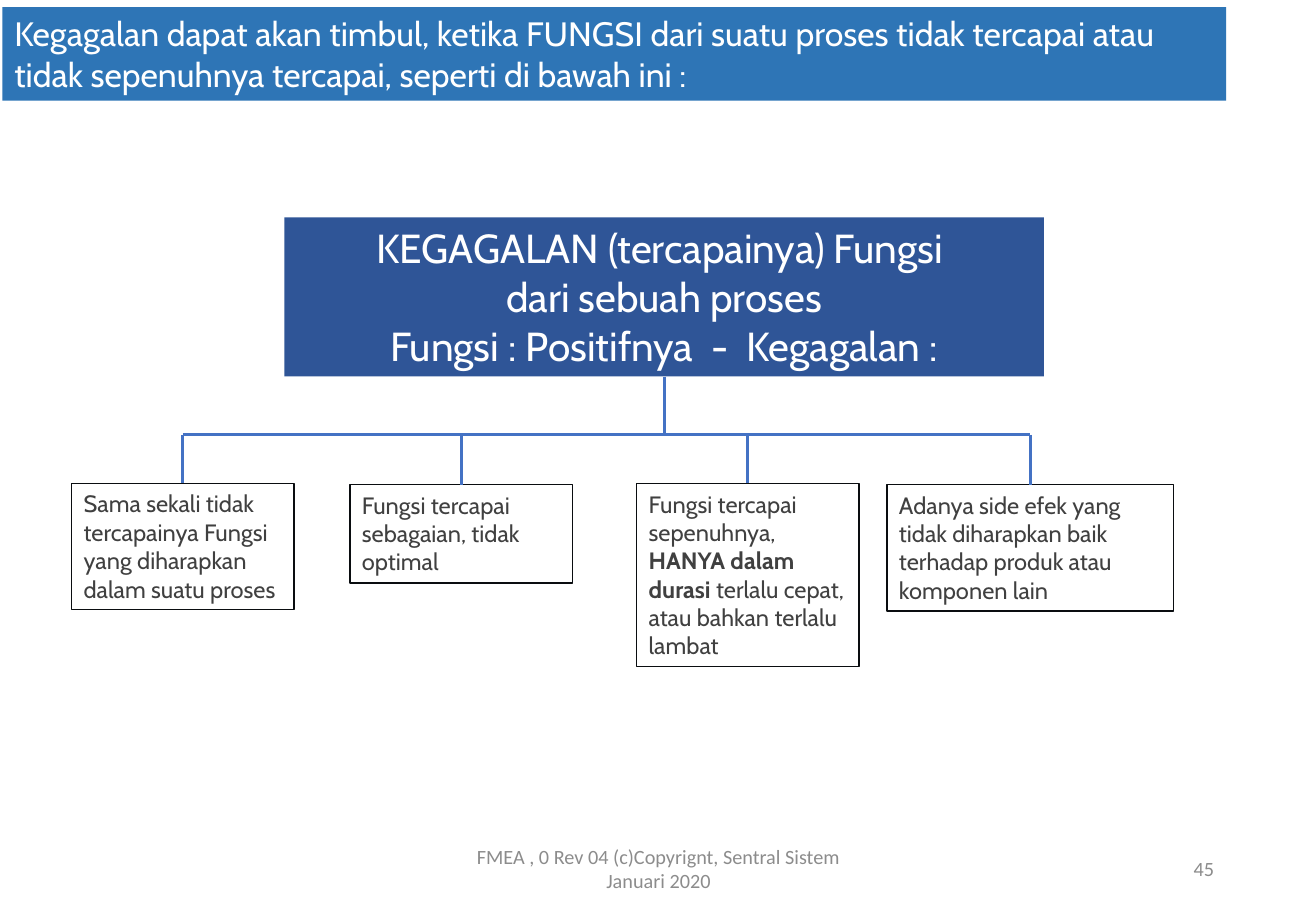
from dataclasses import dataclass

from lxml.etree import SubElement
from pptx import Presentation
from pptx.dml.color import RGBColor
from pptx.enum.shapes import MSO_CONNECTOR, MSO_SHAPE
from pptx.enum.text import MSO_ANCHOR, MSO_AUTO_SIZE, PP_ALIGN
from pptx.oxml.ns import qn
from pptx.util import Inches, Pt


@dataclass(frozen=True)
class Theme:
    banner: str = "2E75B6"
    root: str = "2F5597"
    paper: str = "FFFFFF"
    ink: str = "404040"
    outline: str = "0A0D10"
    branch: str = "4472C4"
    muted: str = "8C8C8C"
    heading_font: str = "Cabin"
    footer_font: str = "Calibri"
    banner_size: int = 20
    root_size: int = 24
    leaf_size: int = 14
    footer_size: int = 12
    outline_width: float = 0.75
    branch_width: float = 1.75


class SlideBuilder:
    def __init__(self, page, theme):
        self.page = page
        self.theme = theme

    def add_text(self, shape, paragraphs, font, size, color, align):
        """Fill a shape with paragraphs, each a list of (text, bold) spans."""
        frame = shape.text_frame
        frame.word_wrap = True
        for index, spans in enumerate(paragraphs):
            para = frame.paragraphs[0] if index == 0 else frame.add_paragraph()
            para.alignment = align
            for text, bold in spans:
                span = para.add_run()
                span.text = text
                span.font.color.rgb = RGBColor.from_string(color)
                style = {"name": font, "size": Pt(size), "bold": bold}
                for name, value in style.items():
                    setattr(span.font, name, value)

    def box(self, place, fill, paragraphs, size, color, align=PP_ALIGN.LEFT, outline=None):
        shape = self.page.shapes.add_shape(MSO_SHAPE.RECTANGLE, *map(Inches, place))
        shape.shadow.inherit = False
        shape.fill.solid()
        shape.fill.fore_color.rgb = RGBColor.from_string(fill)
        if outline:
            shape.line.color.rgb = RGBColor.from_string(outline)
            shape.line.width = Pt(self.theme.outline_width)
        else:
            shape.line.fill.background()
        self.add_text(shape, paragraphs, self.theme.heading_font, size, color, align)
        shape.text_frame.vertical_anchor = MSO_ANCHOR.TOP
        shape.text_frame.auto_size = MSO_AUTO_SIZE.SHAPE_TO_FIT_TEXT
        return shape

    def footer(self, place, text, align):
        box = self.page.shapes.add_textbox(*map(Inches, place))
        theme = self.theme
        self.add_text(box, [[(text, False)]], theme.footer_font, theme.footer_size,
                      theme.muted, align)
        box.text_frame.vertical_anchor = MSO_ANCHOR.MIDDLE

    def line(self, start, end):
        """Draw a branch line between two (x, y) points given as lengths."""
        connector = self.page.shapes.add_connector(MSO_CONNECTOR.STRAIGHT, *start, *end)
        connector.line.color.rgb = RGBColor.from_string(self.theme.branch)
        connector.line.width = Pt(self.theme.branch_width)
        SubElement(connector.element.spPr, qn("a:effectLst"))
        return connector


def middle(shape):
    return shape.left + shape.width // 2


BUS_Y = Inches(3.58)
ROOT_LINES = [
    "KEGAGALAN (tercapainya) Fungsi ",
    "dari sebuah proses",
    "Fungsi : Positifnya  -  Kegagalan :",
]
LEAVES = [
    ((0.59, 3.98, 1.83, 1.04),
     [("Sama sekali tidak tercapainya Fungsi yang diharapkan dalam suatu proses", False)]),
    ((2.88, 3.99, 1.83, 0.81),
     [("Fungsi tercapai sebagaian, tidak optimal", False)]),
    ((5.24, 3.98, 1.83, 1.51),
     [("Fungsi tercapai sepenuhnya, ", False),
      ("HANYA dalam durasi ", True),
      ("terlalu cepat, atau bahkan terlalu lambat", False)]),
    ((7.3, 3.99, 2.36, 1.04),
     [("Adanya side efek yang tidak diharapkan baik terhadap produk atau komponen lain",
       False)]),
]


def main():
    deck = Presentation()
    deck.slide_width, deck.slide_height = Inches(10.83), Inches(7.5)
    theme = Theme()
    builder = SlideBuilder(deck.slides.add_slide(deck.slide_layouts[6]), theme)

    builder.box(
        (0.02, 0.06, 10.07, 0.77), theme.banner,
        [[("Kegagalan dapat akan timbul, ketika FUNGSI dari suatu proses tidak tercapai "
           "atau tidak sepenuhnya tercapai, seperti di bawah ini :", False)]],
        theme.banner_size, theme.paper)
    root = builder.box(
        (2.34, 1.79, 6.25, 1.31), theme.root, [[(text, False)] for text in ROOT_LINES],
        theme.root_size, theme.paper, PP_ALIGN.CENTER)
    leaves = [
        builder.box(place, theme.paper, [spans], theme.leaf_size, theme.ink,
                    outline=theme.outline)
        for place, spans in LEAVES
    ]

    builder.line((middle(leaves[0]), BUS_Y), (middle(leaves[-1]), BUS_Y))
    for leaf in leaves:
        x = middle(leaf)
        builder.line((x, BUS_Y), (x, leaf.top)).end_connect(leaf, 0)
    x = middle(root)
    builder.line((x, root.top + root.height), (x, BUS_Y)).begin_connect(root, 2)

    builder.footer((3.59, 6.95, 3.66, 0.4),
                   "FMEA , 0 Rev 04 (c)Copyrignt, Sentral Sistem Januari 2020", PP_ALIGN.CENTER)
    builder.footer((7.65, 6.95, 2.44, 0.4), "45", PP_ALIGN.RIGHT)
    deck.save("out.pptx")


if __name__ == "__main__":
    main()
